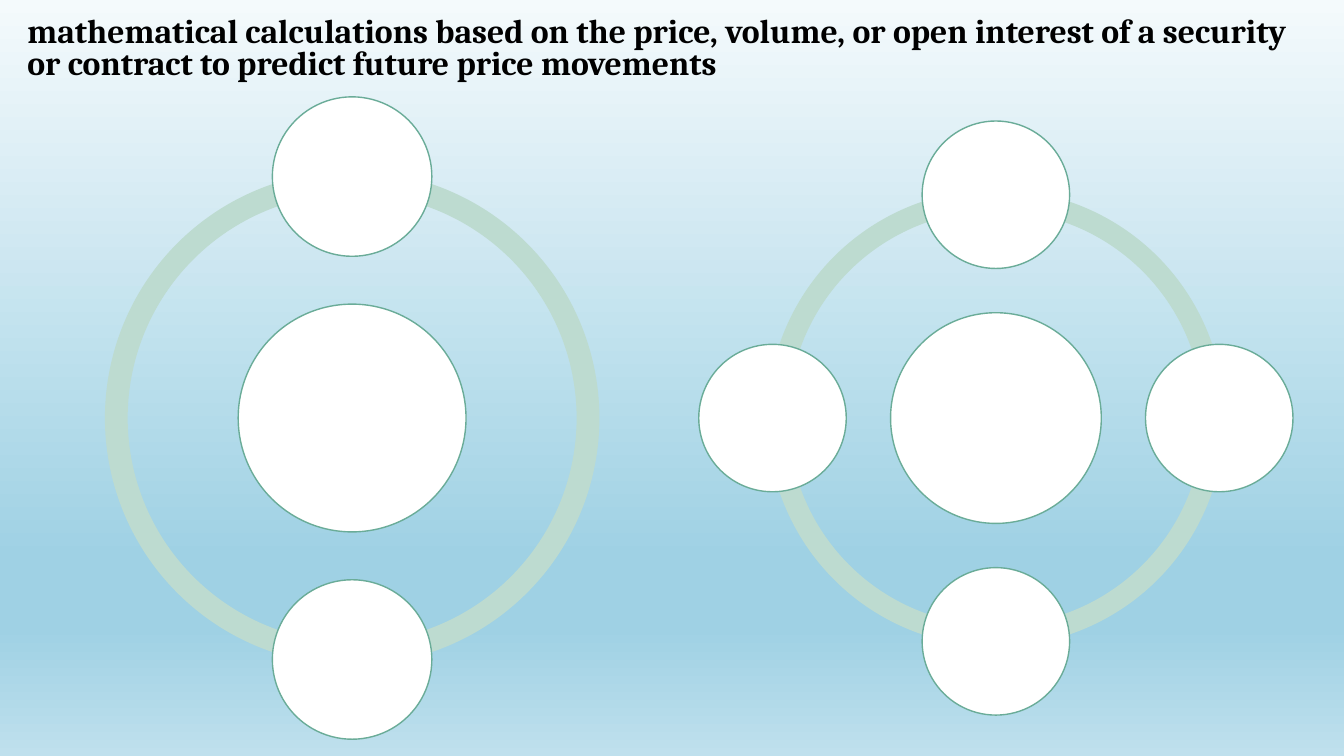
import math
from dataclasses import dataclass

from lxml import etree
from pptx import Presentation
from pptx import util as u
from pptx.dml.color import RGBColor
from pptx.enum import shapes, text
from pptx.oxml.ns import qn

W, H = 13.33, 7.5


@dataclass(frozen=True)
class Theme:
    font: str = "Cambria"
    title_size: int = 24
    title: str = "000000"
    disc: str = "FFFFFF"
    outline: str = "6AAC98"
    ring: str = "BDDBD0"
    backdrop: tuple = ((0, "F5F8FA"), (58, "EBF1F5"), (100, "CEDBE6"))
    sky: tuple = ((0, "F4FAFC"), (74, "9FD1E4"), (83, "9FD1E4"), (100, "BFE0ED"))


T = Theme()
TITLE = ("mathematical calculations based on the price, volume, or open interest "
         "of a security or contract to predict future price movements")

# Proportions of a radial diagram, relative to its hub's diameter
RING, ORBIT, SATELLITE = 2.17, 1.06, 0.7
RING_THICKNESS = 0.046
DEGREE = 0.6  # one degree in adjustment units


def box(x, y, w, h):
    """Turn shares of the slide's size into lengths."""
    return u.Inches(x * W), u.Inches(y * H), u.Inches(w * W), u.Inches(h * H)


def paint_gradient(fill, stops, angle):
    fill.gradient()
    fill.gradient_angle = angle
    stop_list = fill.gradient_stops[0]._gs.getparent()
    for old in list(stop_list):
        stop_list.remove(old)
    for position, color in stops:
        gs = etree.SubElement(stop_list, qn("a:gs"), pos=str(position * 1000))
        etree.SubElement(gs, qn("a:srgbClr"), val=color)


def add_round(parent, kind, cx, cy, diameter, color, outline=None):
    """Add a shape with a square frame, centred on (cx, cy) in inches."""
    x, y = cx - diameter / 2, cy - diameter / 2
    sp = parent.shapes.add_shape(kind, *box(x / W, y / H, diameter / W, diameter / H))
    sp.shadow.inherit = False
    sp.fill.solid()
    sp.fill.fore_color.rgb = RGBColor.from_string(color)
    if outline:
        sp.line.color.rgb = RGBColor.from_string(outline)
        sp.line.width = u.Pt(1)
    else:
        sp.line.fill.background()
    return sp


def add_radial(s, x_share, y_share, hub, count):
    """Hub with evenly spaced satellites, clockwise from the top, on a ring."""
    group = s.shapes.add_group_shape()
    cx, cy = x_share * W, y_share * H
    angles = [(270 + i * 360 / count) % 360 for i in range(count)]

    # Ring segments
    for start in reversed(angles):
        end = (start + 360 / count) % 360
        arc = add_round(group, shapes.MSO_SHAPE.BLOCK_ARC, cx, cy, hub * RING, T.ring)
        for i, value in enumerate((start * DEGREE, end * DEGREE, RING_THICKNESS)):
            arc.adjustments[i] = value

    # Hub and satellites
    oval = shapes.MSO_SHAPE.OVAL
    add_round(group, oval, cx, cy, hub, T.disc, T.outline)
    for angle in map(math.radians, angles):
        add_round(group, oval, cx + hub * ORBIT * math.cos(angle),
                  cy + hub * ORBIT * math.sin(angle), hub * SATELLITE, T.disc, T.outline)


def add_title(s, words):
    tf = s.shapes.add_textbox(*box(0.013, 0.025, 0.975, 0.09)).text_frame
    tf.word_wrap = True
    tf.vertical_anchor = text.MSO_ANCHOR.BOTTOM
    p = tf.paragraphs[0]
    p.line_spacing = 0.8
    r = p.add_run()
    r.text = words
    for name, value in {"name": T.font, "size": u.Pt(T.title_size), "bold": True}.items():
        setattr(r.font, name, value)
    r.font.color.rgb = RGBColor.from_string(T.title)


def main():
    prs = Presentation()
    prs.slide_width, prs.slide_height = u.Inches(W), u.Inches(H)
    s = prs.slides.add_slide(prs.slide_layouts[6])

    # Background
    paint_gradient(s.background.fill, T.backdrop, 70)
    sky = s.shapes.add_shape(shapes.MSO_SHAPE.RECTANGLE, *box(0, 0, 1, 1))
    sky.shadow.inherit = False
    sky.line.fill.background()
    paint_gradient(sky.fill, T.sky, 270)

    # Diagrams and title
    add_radial(s, 0.741, 0.553, 2.09, 4)
    add_title(s, TITLE)
    add_radial(s, 0.262, 0.553, 2.26, 2)
    prs.save("out.pptx")


if __name__ == "__main__":
    main()
